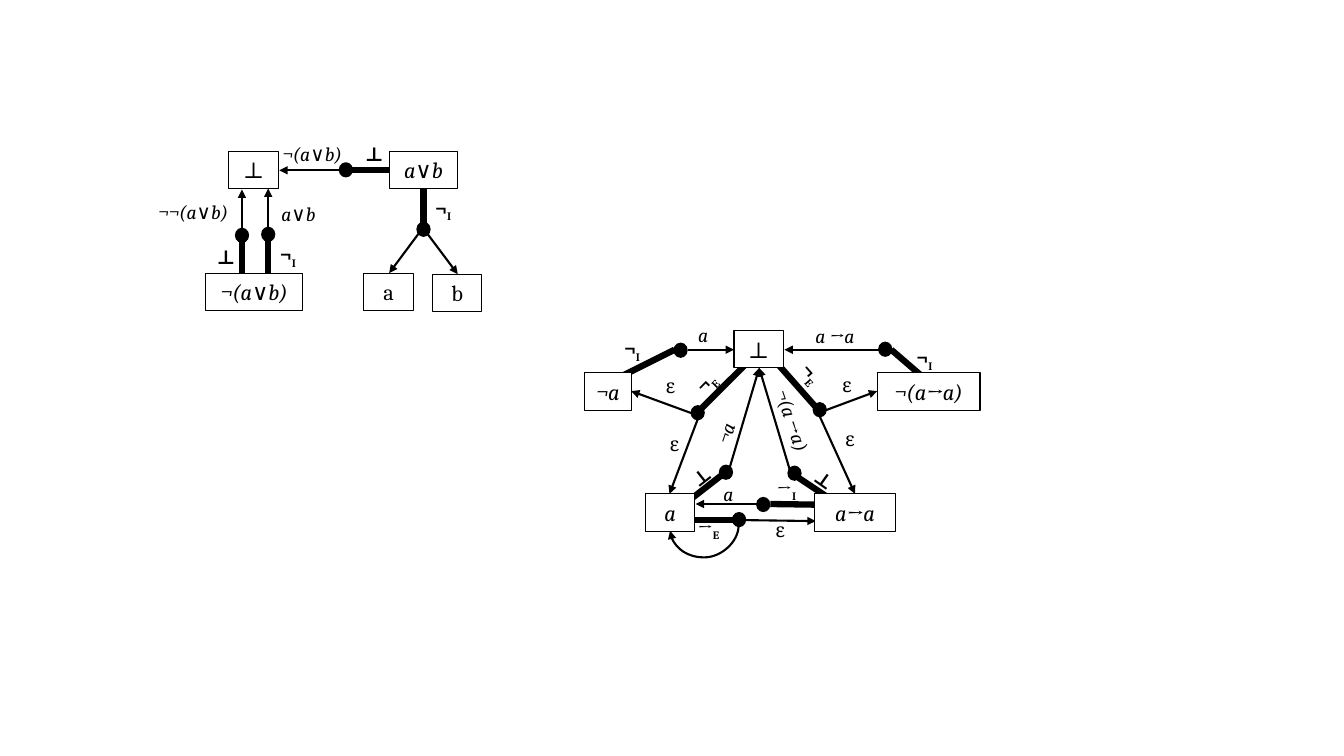
"""Draw two proof-search graphs with boxed formulas, dots, edges and rule labels."""
from dataclasses import dataclass

from lxml.etree import SubElement
from pptx import Presentation
from pptx.dml.color import RGBColor
from pptx.enum.shapes import MSO_CONNECTOR, MSO_SHAPE
from pptx.enum.text import MSO_ANCHOR, MSO_AUTO_SIZE, PP_ALIGN
from pptx.oxml.ns import qn
from pptx.shapes.connector import Connector
from pptx.util import Inches, Pt

BLACK = RGBColor(0, 0, 0)
WHITE = RGBColor(255, 255, 255)
FONT = "Cambria"
BOX_H, LABEL_H = 0.37, 0.34
DOT_W, DOT_H = 0.12, 0.13
THIN, THICK = 1.5, 4.5


@dataclass(frozen=True)
class Box:
    text: str
    x: float
    y: float
    w: float = 0.49
    italic: bool = True


@dataclass(frozen=True)
class Dot:
    x: float
    y: float


@dataclass(frozen=True)
class Edge:
    x1: float
    y1: float
    x2: float
    y2: float


@dataclass(frozen=True)
class Label:
    text: str
    x: float
    y: float
    w: float
    style: str = "italic"
    sub: str = ""
    align: PP_ALIGN = PP_ALIGN.CENTER
    rotation: float = 0


@dataclass(frozen=True)
class Graph:
    boxes: list[Box]
    dots: list[Dot]
    bars: list[Edge]
    arrows: list[Edge]
    labels: list[Label]


def rule(text: str, x: float, y: float, w: float = 0.41, sub: str = "",
         align: PP_ALIGN = PP_ALIGN.LEFT, rotation: float = 0) -> Label:
    return Label(text, x, y, w, "bold", sub, align, rotation)


def epsilon(x: float, y: float) -> Label:
    return Label("ε", x, y, 0.3, "plain")


DISJUNCTION = Graph(
    boxes=[Box("¬(a∨b)", 2.04, 2.71, 0.96), Box("⊥", 2.27, 1.5, italic=False),
           Box("a∨b", 3.86, 1.5, 0.68), Box("a", 3.61, 2.71, italic=False),
           Box("b", 4.29, 2.72, italic=False)],
    dots=[Dot(2.6, 2.26), Dot(2.34, 2.27), Dot(3.37, 1.62), Dot(4.14, 2.21)],
    bars=[Edge(2.66, 2.71, 2.66, 2.39), Edge(2.4, 2.71, 2.4, 2.39),
          Edge(3.86, 1.69, 3.49, 1.69), Edge(4.2, 1.87, 4.2, 2.21)],
    arrows=[Edge(2.66, 2.26, 2.66, 1.87), Edge(2.4, 2.27, 2.4, 1.88),
            Edge(3.37, 1.69, 2.77, 1.69), Edge(4.15, 2.32, 3.86, 2.71),
            Edge(4.24, 2.32, 4.54, 2.72)],
    labels=[rule("¬", 2.68, 2.36, sub="I"), rule("⊥", 2.05, 2.38),
            rule("⊥", 3.52, 1.36), rule("¬", 4.22, 1.9, sub="I"),
            Label("¬¬(a∨b)", 1.42, 1.93, 0.99), Label("a∨b", 2.65, 1.95, 0.62),
            Label("¬(a∨b)", 2.6, 1.36, 0.99)],
)

IMPLICATION = Graph(
    boxes=[Box("⊥", 7.28, 3.28, italic=False), Box("a", 6.4, 4.9),
           Box("a→a", 8.08, 4.9, 0.8), Box("¬a", 5.8, 3.7, 0.46),
           Box("¬(a→a)", 8.7, 3.7, 1.02)],
    dots=[Dot(8.07, 4), Dot(6.86, 4.03), Dot(7.14, 4.62), Dot(7.82, 4.63),
          Dot(7.27, 5.09), Dot(7.51, 4.94), Dot(6.69, 3.41), Dot(8.72, 3.4)],
    bars=[Edge(7.66, 3.55, 8.11, 4.06), Edge(7.48, 3.53, 6.92, 4.09),
          Edge(6.7, 5.07, 7.15, 4.72), Edge(8.4, 5.06, 7.92, 4.74),
          Edge(6.77, 5.16, 7.27, 5.16), Edge(8.32, 5.01, 7.64, 5),
          Edge(6.03, 3.8, 6.69, 3.47), Edge(9.35, 3.91, 8.84, 3.47)],
    arrows=[Edge(8.19, 4.07, 8.7, 3.88), Edge(8.13, 4.13, 8.48, 4.9),
            Edge(6.92, 4.16, 6.64, 4.9), Edge(6.86, 4.1, 6.26, 3.88),
            Edge(7.24, 4.63, 7.53, 3.65), Edge(7.83, 4.65, 7.53, 3.65),
            Edge(7.51, 5, 6.9, 5), Edge(7.39, 5.16, 8.09, 5.17),
            Edge(6.82, 3.47, 7.28, 3.47), Edge(8.72, 3.47, 7.78, 3.47)],
    labels=[Label("¬(a →a)", 7.37, 4, 0.98, rotation=71.6),
            Label("¬a", 6.96, 4.13, 0.47, rotation=287.8),
            Label("a", 6.99, 4.73, 0.47), Label("a →a", 7.79, 3.16, 0.98),
            Label("a", 6.73, 3.15, 0.49),
            rule("¬", 6.8, 3.6, 0.45, "E", rotation=314.4),
            rule("¬", 7.84, 3.58, 0.49, "E", rotation=48.5),
            rule("⊥", 6.77, 4.58, 0.31, rotation=321.8),
            rule("⊥", 7.99, 4.57, 0.31, rotation=35.3),
            rule("→", 7.44, 4.67, 0.72, "I", PP_ALIGN.CENTER),
            rule("→", 6.82, 5.06, 0.57, "E"),
            rule("¬", 5.91, 3.29, 0.72, "I", PP_ALIGN.CENTER),
            rule("¬", 8.81, 3.38, 0.72, "I", PP_ALIGN.CENTER),
            epsilon(8.28, 4.19), epsilon(8.25, 3.65), epsilon(6.54, 4.24),
            epsilon(6.5, 3.66), epsilon(7.59, 5.09)],
)


def add_run(p, text: str, size: float, bold: bool = False, italic: bool = False):
    r = p.add_run()
    r.text = text
    r.font.name, r.font.size = FONT, Pt(size)
    r.font.bold, r.font.italic = bold, italic
    r.font.color.rgb = BLACK
    return r


def add_figure(shapes, kind: MSO_SHAPE, x: float, y: float, w: float, h: float,
               fill: RGBColor, weight: float):
    s = shapes.add_shape(kind, Inches(x), Inches(y), Inches(w), Inches(h))
    s.shadow.inherit = False
    s.fill.solid()
    s.fill.fore_color.rgb = fill
    s.line.color.rgb = BLACK
    s.line.width = Pt(weight)
    return s


def add_box(shapes, box: Box) -> None:
    s = add_figure(shapes, MSO_SHAPE.RECTANGLE, box.x, box.y, box.w, BOX_H, WHITE, 0.75)
    s.text_frame.vertical_anchor = MSO_ANCHOR.MIDDLE
    p = s.text_frame.paragraphs[0]
    p.alignment = PP_ALIGN.CENTER
    add_run(p, box.text, 16, italic=box.italic)


def add_edge(shapes, edge: Edge, weight: float, arrow: bool = False,
             kind: MSO_CONNECTOR = MSO_CONNECTOR.STRAIGHT) -> Connector:
    c = shapes.add_connector(kind, Inches(edge.x1), Inches(edge.y1),
                             Inches(edge.x2), Inches(edge.y2))
    c.line.color.rgb = BLACK
    c.line.width = Pt(weight)
    if arrow:
        SubElement(c.line._get_or_add_ln(), qn("a:tailEnd"), type="triangle")
    SubElement(c._element.spPr, qn("a:effectLst"))
    return c


def add_loop(shapes) -> None:
    c = add_edge(shapes, Edge(6.96, 4.9, 7.01, 5.58), THIN, True, MSO_CONNECTOR.CURVE)
    sp_pr = c._element.spPr
    sp_pr.find(qn("a:xfrm")).set("rot", str(90 * 60000))
    guides = sp_pr.find(qn("a:prstGeom")).find(qn("a:avLst"))
    SubElement(guides, qn("a:gd"), name="adj1", fmla="val 629400")


def add_label(shapes, label: Label) -> None:
    s = shapes.add_textbox(Inches(label.x), Inches(label.y), Inches(label.w), Inches(LABEL_H))
    s.rotation = label.rotation
    tf = s.text_frame
    tf.word_wrap = True
    tf.auto_size = MSO_AUTO_SIZE.SHAPE_TO_FIT_TEXT
    p = tf.paragraphs[0]
    p.alignment = label.align
    bold, italic = label.style == "bold", label.style == "italic"
    add_run(p, label.text, 14, bold, italic)
    if label.sub:
        r = add_run(p, label.sub, 14, bold, italic)
        r._r.get_or_add_rPr().set("baseline", "-25000")


def add_graph(shapes, graph: Graph) -> None:
    for bar in graph.bars:
        add_edge(shapes, bar, THICK)
    for arrow in graph.arrows:
        add_edge(shapes, arrow, THIN, arrow=True)
    for dot in graph.dots:
        add_figure(shapes, MSO_SHAPE.OVAL, dot.x, dot.y, DOT_W, DOT_H, BLACK, THIN)
    for box in graph.boxes:
        add_box(shapes, box)
    for label in graph.labels:
        add_label(shapes, label)


def main() -> None:
    prs = Presentation()
    prs.slide_width, prs.slide_height = Inches(13.33), Inches(7.5)
    slide = prs.slides.add_slide(prs.slide_layouts[6])
    add_graph(slide.shapes, DISJUNCTION)
    group = slide.shapes.add_group_shape()
    add_loop(group.shapes)
    add_graph(group.shapes, IMPLICATION)
    prs.save("out.pptx")


if __name__ == "__main__":
    main()
